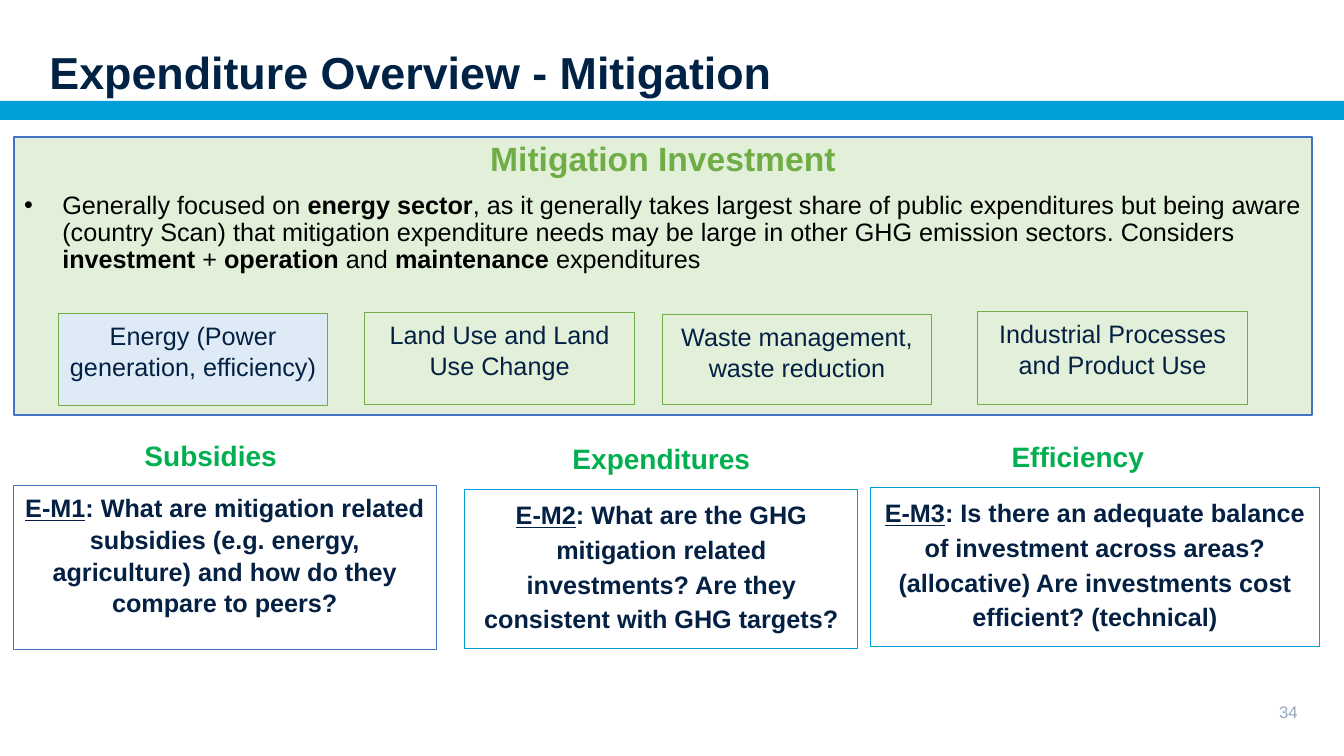
from lxml import etree
from pptx import Presentation
from pptx.dml.color import RGBColor
from pptx.enum.shapes import MSO_SHAPE
from pptx.enum.text import MSO_ANCHOR, PP_ALIGN
from pptx.oxml.ns import qn
from pptx.util import Inches, Pt

RECTANGLE = MSO_SHAPE.RECTANGLE
TOP, MIDDLE = MSO_ANCHOR.TOP, MSO_ANCHOR.MIDDLE
LEFT, CENTER, RIGHT = PP_ALIGN.LEFT, PP_ALIGN.CENTER, PP_ALIGN.RIGHT
NAVY, INK, SKY, BLUE = "002244", "042144", "009FDA", "4472C4"
GREEN, LEAF, BLACK = "00B050", "70AD47", "000000"


def add_box(place, fill=None, line=None, weight=0.75):
    box = slide.shapes.add_shape(RECTANGLE, *map(Inches, place))
    box.shadow.inherit = False
    if fill:
        box.fill.solid()
        box.fill.fore_color.rgb = RGBColor.from_string(fill)
    else:
        box.fill.background()
    if line:
        box.line.color.rgb = RGBColor.from_string(line)
        box.line.width = Pt(weight)
    else:
        box.line.fill.background()
    box.text_frame.word_wrap = True
    box.text_frame.vertical_anchor = TOP
    return box


def write(paragraph, pieces, size, color, spacing=1.0, align=CENTER):
    paragraph.alignment = align
    paragraph.line_spacing = spacing
    paragraph.space_before = Pt(0)
    for words, style in pieces:
        run = paragraph.add_run()
        run.text = words
        run.font.color.rgb = RGBColor.from_string(color)
        for name, value in {"name": "Arial", "size": Pt(size), "bold": False, **style}.items():
            setattr(run.font, name, value)


BOLD = {"bold": True}
CODE = {"bold": True, "underline": True}

prs = Presentation()
prs.slide_width, prs.slide_height = Inches(13.33), Inches(7.5)
slide = prs.slides.add_slide(prs.slide_layouts[5])

add_box((0, 1, 13.33, 0.19), fill=SKY)

title = slide.shapes.title
title_place = {"left": 0.39, "top": 0.33, "width": 12.49, "height": 0.83}
for side, length in title_place.items():
    setattr(title, side, Inches(length))
title.text_frame.vertical_anchor = MIDDLE
write(title.text_frame.paragraphs[0], [("Expenditure Overview - Mitigation", BOLD)], 32, NAVY, 0.9, LEFT)

page_number = add_box((12.18, 6.91, 0.79, 0.3))
page_number.text_frame.vertical_anchor = MIDDLE
write(page_number.text_frame.paragraphs[0], [("34", {})], 12, "98A8BD", align=RIGHT)

investment = add_box((0.14, 1.36, 12.87, 2.76), "E2F0D9", BLUE, 1.5).text_frame
write(investment.paragraphs[0], [("Mitigation Investment", BOLD)], 24, LEAF, 0.9)
focus = investment.add_paragraph()
focus_format = focus._p.get_or_add_pPr()
focus_format.set("marL", str(Inches(0.38)))
focus_format.set("indent", str(-Inches(0.38)))
etree.SubElement(focus_format, qn("a:buFont")).set("typeface", "Arial")
etree.SubElement(focus_format, qn("a:buChar")).set("char", "•")
write(focus, [
    ("Generally focused on ", {}),
    ("energy sector", BOLD),
    (", as it generally takes largest share of public expenditures but being aware "
     "(country Scan) that mitigation expenditure needs may be large in other GHG "
     "emission sectors. Considers ", {}),
    ("investment", BOLD),
    (" + ", {}),
    ("operation", BOLD),
    (" and ", {}),
    ("maintenance", BOLD),
    (" expenditures", {}),
], 18, BLACK, 0.9, LEFT)
focus.space_before = Pt(10)

sectors = [
    ("Energy (Power generation, efficiency)", 0.58, 3.11, 0.91, "DEEBF7"),
    ("Land Use and Land Use Change", 3.62, 3.1, 0.91, None),
    ("Waste management, waste reduction", 6.57, 3.12, 0.89, None),
    ("Industrial Processes and Product Use", 9.7, 3.09, 0.92, None),
]
for sector, left, top, height, fill in sectors:
    box = add_box((left, top, 2.67, height), fill, LEAF)
    write(box.text_frame.paragraphs[0], [(sector, {})], 18, INK, 1.05)

questions = [
    ("Subsidies", (0.14, 4.34, 3.9, 0.45), 0.9,
     "E-M1", ": What are mitigation related subsidies (e.g. energy, agriculture) "
     "and how do they compare to peers?", (0.13, 4.82, 4.2, 1.62), 1.05, BLUE),
    ("Expenditures", (4.61, 4.28, 3.9, 0.58), 1.15,
     "E-M2", ": What are the GHG mitigation related investments? "
     "Are they consistent with GHG targets?", (4.61, 4.86, 3.9, 1.57), 1.15, SKY),
    ("Efficiency", (8.74, 4.26, 3.9, 0.58), 1.15,
     "E-M3", ": Is there an adequate balance of investment across areas? (allocative) "
     "Are investments cost efficient? (technical)", (8.63, 4.84, 4.46, 1.57), 1.15, SKY),
]
for heading, heading_place, heading_spacing, code, question, place, spacing, line in questions:
    heading_box = add_box(heading_place)
    write(heading_box.text_frame.paragraphs[0], [(heading, BOLD)], 20, GREEN, heading_spacing)
    question_box = add_box(place, line=line)
    write(question_box.text_frame.paragraphs[0], [(code, CODE), (question, BOLD)], 18, INK, spacing)

prs.save("out.pptx")
